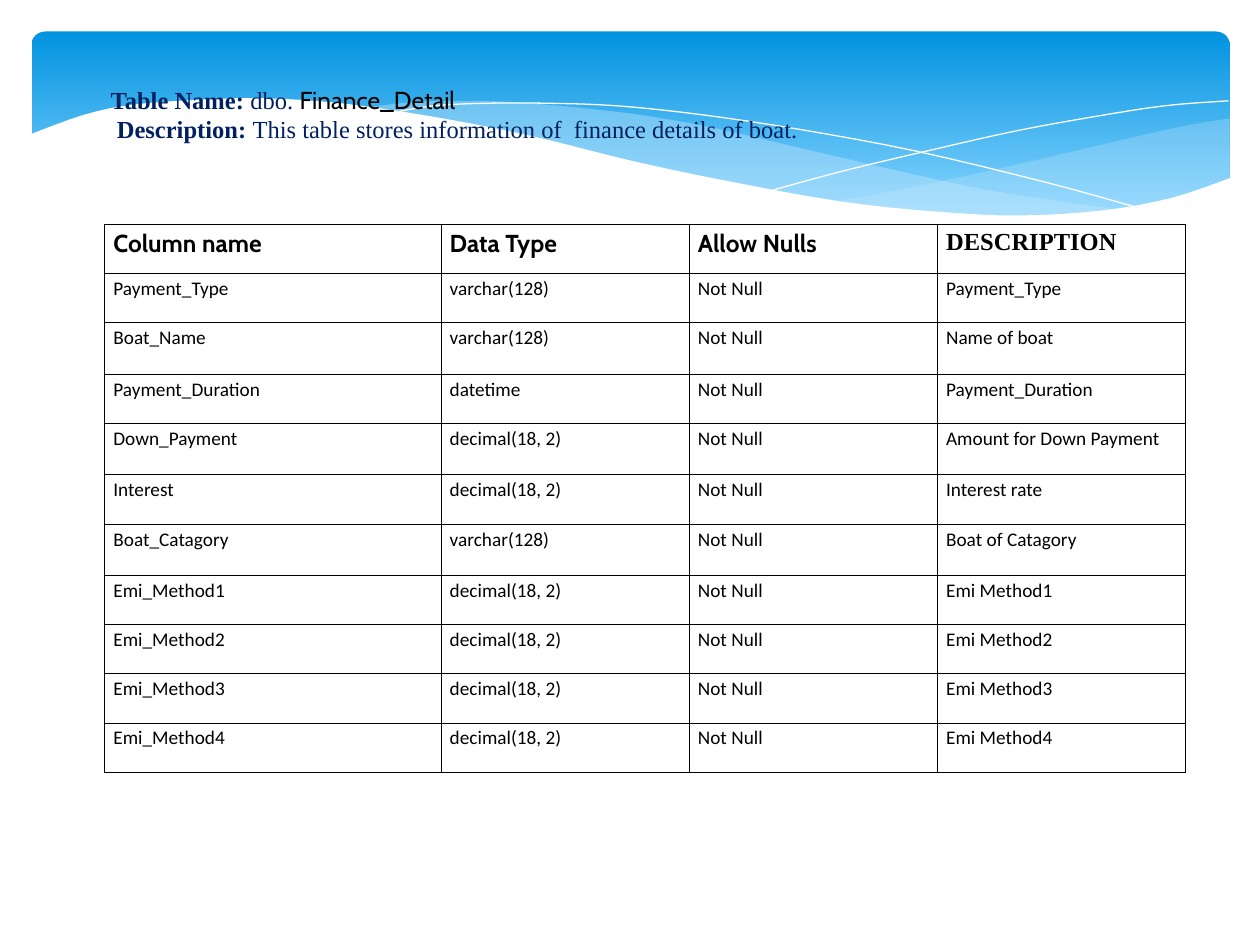
from lxml.etree import SubElement
from pptx import Presentation
from pptx.dml.color import RGBColor as RGB
from pptx.enum.shapes import MSO_SHAPE as Shape
from pptx.enum.text import MSO_ANCHOR as Anchor
from pptx.oxml.ns import qn
from pptx.util import Inches as In, Pt

COLORS = {"sky": "0293E0", "pale": "83D3FE", "mist": "C6E7FC",
          "white": "FFFFFF", "navy": "002060", "black": "000000"}
SERIF, SANS, BODY = "Times New Roman", "Cabin", "Calibri"

TITLE = [
    [("Table Name: ", SERIF, "navy", True),
     ("dbo. ", SERIF, "navy", False),
     ("Finance_Detail", SANS, "black", False)],
    [(" Description: ", SERIF, "navy", True),
     ("This table stores information of  finance details of boat.", SERIF, "navy", False)],
]
HEADER = ["Column name", "Data Type", "Allow Nulls", "DESCRIPTION"]
TEXT, NUMBER = "varchar(128)", "decimal(18, 2)"
FIELDS = [
    ("Payment_Type", TEXT, "Payment_Type"),
    ("Boat_Name", TEXT, "Name of boat"),
    ("Payment_Duration", "datetime", "Payment_Duration"),
    ("Down_Payment", NUMBER, "Amount for Down Payment"),
    ("Interest", NUMBER, "Interest rate"),
    ("Boat_Catagory", TEXT, "Boat of Catagory"),
] + [(f"Emi_Method{n}", NUMBER, f"Emi Method{n}") for n in range(1, 5)]
ROWS = [HEADER] + [(name, kind, "Not Null", about) for name, kind, about in FIELDS]
COL_WIDTHS = [2.67, 1.97, 1.97, 1.97]
TALL_ROWS = {2, 4, 6}

WAVES = [
    {"fill": "mist", "alpha": 29, "edges": [
        [(9.76, 0.94), (9.35, 1.01), (8.61, 1.18), (7.79, 1.37), (7.06, 1.52), (6.61, 1.6)],
        [(6.61, 1.6), (7.19, 1.67), (7.69, 1.71), (8.14, 1.72), (8.54, 1.7),
         (8.97, 1.65), (9.35, 1.56), (9.76, 1.41)]]},
    {"fill": "mist", "alpha": 40, "edges": [
        [(8.93, 1.67), (8.37, 1.59), (7.75, 1.49), (7.06, 1.34), (6.29, 1.16), (5.69, 1.02),
         (5.14, 0.92), (4.65, 0.86), (4.2, 0.82), (3.8, 0.8), (3.28, 0.81), (2.86, 0.86)],
        [(2.86, 0.86), (3.42, 0.94), (4.04, 1.06), (4.91, 1.26), (5.66, 1.43), (6.34, 1.56),
         (6.95, 1.65), (7.48, 1.7), (7.96, 1.73), (8.38, 1.72), (8.93, 1.67)]]},
    {"line": "white", "edges": [
        [(3.09, 0.9), (3.44, 0.84), (3.87, 0.82), (4.33, 0.82), (4.89, 0.84), (5.56, 0.91),
         (6.36, 1.03), (7.27, 1.2), (8.31, 1.45), (9.07, 1.66)]]},
    {"line": "white", "edges": [
        [(6.13, 1.51), (6.72, 1.35), (7.48, 1.17), (8.06, 1.04), (8.66, 0.93),
         (9.24, 0.84), (9.75, 0.8)]]},
    {"fill": "white", "edges": [
        [(9.77, 1.41), (9.3, 1.57), (8.75, 1.67), (8.09, 1.71), (7.44, 1.68), (6.68, 1.6),
         (5.79, 1.44), (5.03, 1.28), (4.18, 1.07), (3.4, 0.92), (2.71, 0.82), (2.11, 0.78),
         (1.61, 0.79), (1.06, 0.83), (0.67, 0.91), (0.23, 1.07)],
        [(0.23, 1.07), (0.23, 2.24)], [(0.23, 2.24), (9.77, 2.24)]]},
]


def rgb(name):
    return RGB.from_string(COLORS[name])


def smooth(knots, steps=4):
    padded = [knots[0], *knots, knots[-1]]
    points = [knots[0]]
    for a, b, c, d in zip(padded, padded[1:], padded[2:], padded[3:]):
        for t in (n / steps for n in range(1, steps + 1)):
            points.append(tuple(
                (2 * q + (r - p) * t + (2 * p - 5 * q + 4 * r - s) * t ** 2
                 + (3 * q - p - 3 * r + s) * t ** 3) / 2
                for p, q, r, s in zip(a, b, c, d)))
    return points


def add_wave(shapes, wave):
    points = [(In(x), In(y)) for edge in wave["edges"] for x, y in smooth(edge)]
    builder = shapes.build_freeform(*points[0])
    builder.add_line_segments(points[1:], close="fill" in wave)
    sp = builder.convert_to_shape()
    sp.shadow.inherit = False
    if "line" in wave:
        sp.fill.background()
        sp.line.color.rgb = rgb(wave["line"])
        sp.line.width = Pt(0)
        return
    sp.line.fill.background()
    sp.fill.solid()
    sp.fill.fore_color.rgb = rgb(wave["fill"])
    if "alpha" in wave:
        color = sp._element.spPr.find(qn("a:solidFill"))[0]
        SubElement(color, qn("a:alpha"), val=str(wave["alpha"] * 1000))


def add_banner(shapes):
    sp = shapes.add_shape(Shape.ROUNDED_RECTANGLE, In(0.25), In(0.25), In(9.51), In(1.56))
    sp.adjustments[0] = 0.07
    sp.shadow.inherit = False
    sp.line.fill.background()
    sp.fill.gradient()
    sp.fill.gradient_angle = 270
    for stop, name, position in zip(sp.fill.gradient_stops, ("sky", "pale"), (0, 0.9)):
        stop.color.rgb = rgb(name)
        stop.position = position


def add_title(shapes):
    tf = shapes.add_textbox(In(0.53), In(0.62), In(8.25), In(0.57)).text_frame
    tf.word_wrap = True
    tf.vertical_anchor = Anchor.MIDDLE
    for i, runs in enumerate(TITLE):
        p = tf.add_paragraph() if i else tf.paragraphs[0]
        p.font.size = Pt(14)
        p._p.get_or_add_pPr().set("indent", str(In(0.25)))
        for text, face, color, bold in runs:
            r = p.add_run()
            r.text = text
            r.font.name, r.font.bold = face, bold
            r.font.color.rgb = rgb(color)


def add_borders(cell):
    tcPr = cell._tc.get_or_add_tcPr()
    for i, side in enumerate(("a:lnL", "a:lnR", "a:lnT", "a:lnB")):
        ln = SubElement(tcPr, qn(side), w=str(Pt(0.5)))
        fill = SubElement(ln, qn("a:solidFill"))
        SubElement(fill, qn("a:srgbClr"), val=COLORS["black"])
        tcPr.insert(i, ln)


def add_fields_table(shapes):
    heights = [0.41 if i in TALL_ROWS else 0.39 for i in range(len(ROWS))]
    table = shapes.add_table(len(ROWS), len(COL_WIDTHS), In(0.83), In(1.78),
                             In(sum(COL_WIDTHS)), In(sum(heights))).table
    table.first_row = table.horz_banding = False
    for column, width in zip(table.columns, COL_WIDTHS):
        column.width = In(width)
    for i, (row, height) in enumerate(zip(table.rows, heights)):
        row.height = In(height)
        for text, cell in zip(ROWS[i], row.cells):
            cell.margin_left = cell.margin_right = In(0.07)
            cell.margin_top = cell.margin_bottom = 0
            cell.fill.background()
            add_borders(cell)
            cell.text = text
            p = cell.text_frame.paragraphs[0]
            p.line_spacing = 1.15
            p.font.size = Pt(11 if i else 14)
            p.font.bold = i == 0
            p.font.name = BODY if i else SERIF if text == HEADER[-1] else SANS
            p.font.color.rgb = rgb("black")


def main():
    prs = Presentation()
    prs.slide_width, prs.slide_height = In(10), In(7.5)
    shapes = prs.slides.add_slide(prs.slide_layouts[6]).shapes
    add_banner(shapes)
    for wave in WAVES:
        add_wave(shapes, wave)
    add_title(shapes)
    add_fields_table(shapes)
    prs.save("out.pptx")


if __name__ == "__main__":
    main()
